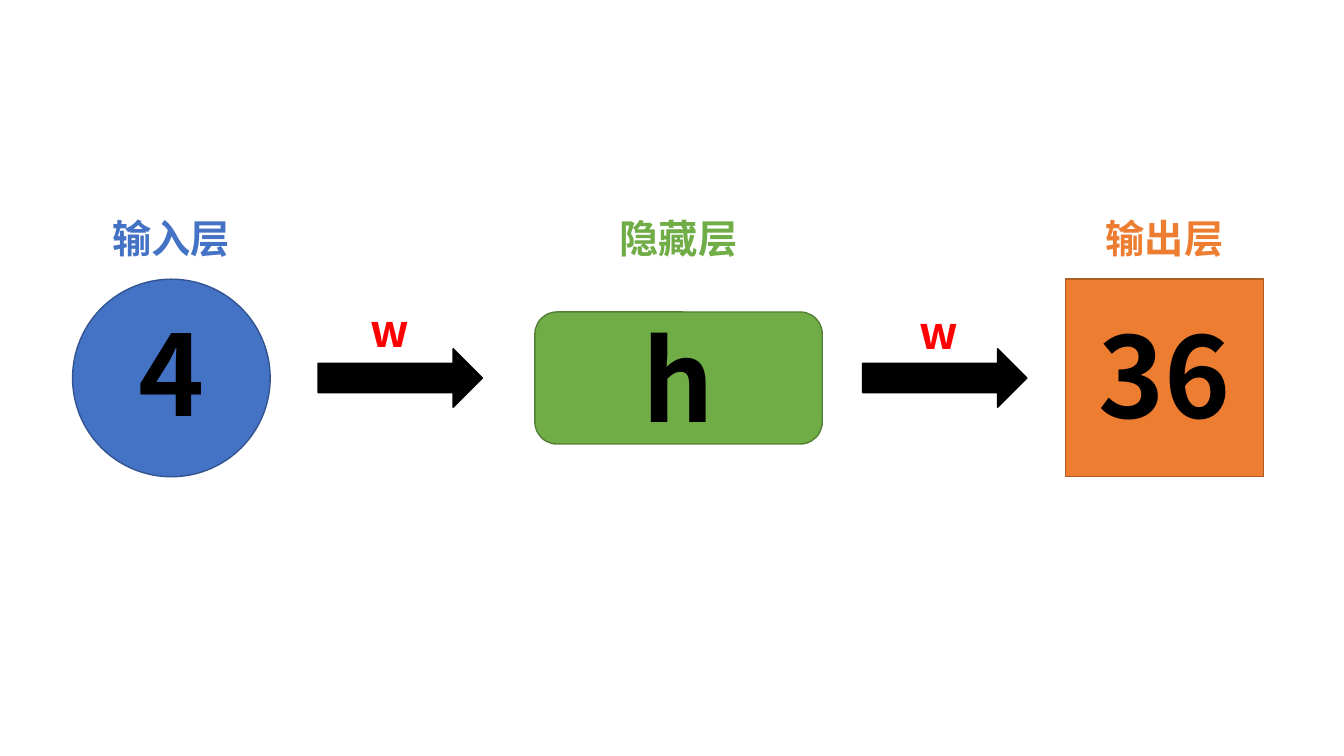
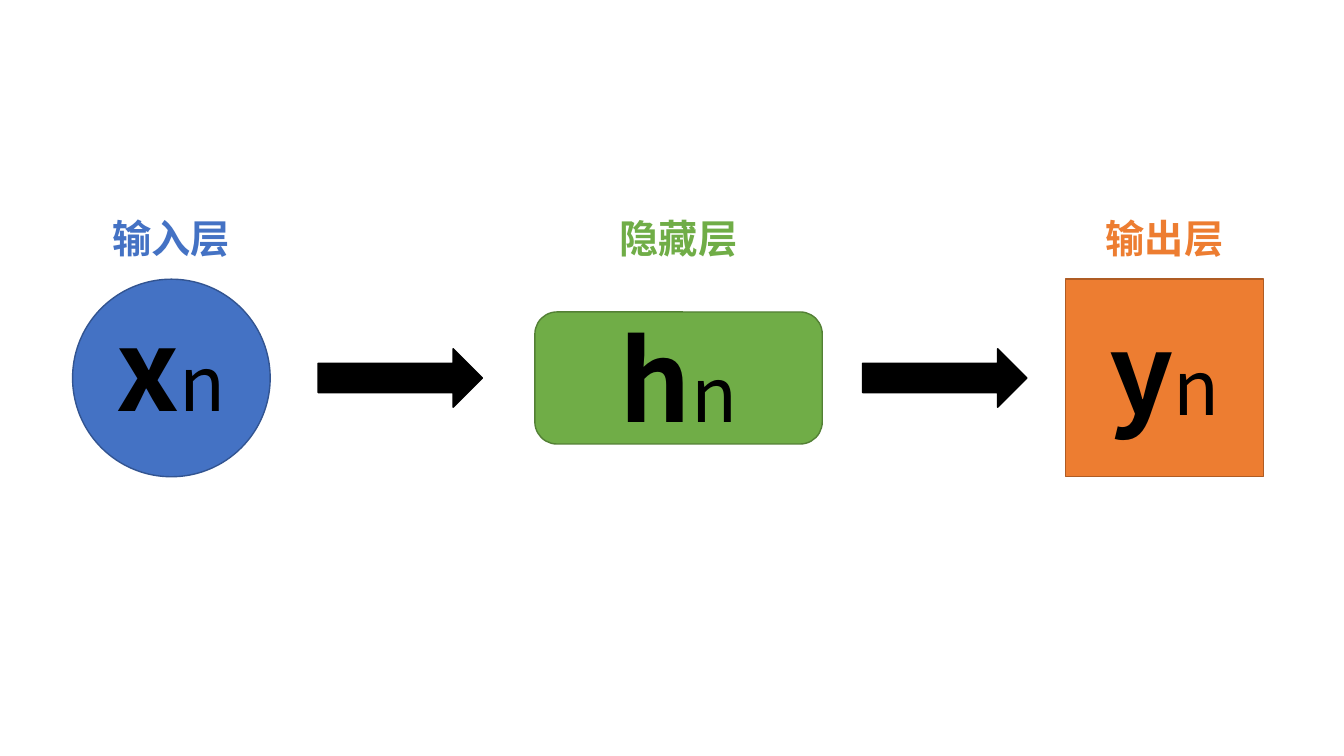
from collections import namedtuple

from lxml import etree
from pptx import Presentation
from pptx.dml.color import RGBColor
from pptx.enum.shapes import MSO_SHAPE
from pptx.enum.text import MSO_AUTO_SIZE, PP_ALIGN
from pptx.oxml.ns import qn
from pptx.util import Inches, Pt

OVAL = MSO_SHAPE.OVAL
SQUARE = MSO_SHAPE.RECTANGLE
ROUNDED = MSO_SHAPE.ROUNDED_RECTANGLE
ARROW = MSO_SHAPE.RIGHT_ARROW
CENTER = PP_ALIGN.CENTER
GROW = MSO_AUTO_SIZE.SHAPE_TO_FIT_TEXT

BLUE = RGBColor(0x44, 0x72, 0xC4)
BLUE_EDGE = RGBColor(0x32, 0x54, 0x91)
GREEN = RGBColor(0x70, 0xAD, 0x47)
GREEN_EDGE = RGBColor(0x53, 0x80, 0x35)
ORANGE = RGBColor(0xED, 0x7D, 0x31)
ORANGE_EDGE = RGBColor(0xAF, 0x5C, 0x24)
BLACK = RGBColor(0, 0, 0)
RED = RGBColor(0xFF, 0, 0)

FONT = "Noto Sans CJK SC"
SLIDE_WIDTH, SLIDE_HEIGHT = 13.33, 7.5
MIDDLE = SLIDE_HEIGHT / 2
LABEL_TOP, LABEL_WIDTH, LABEL_HEIGHT, LABEL_SIZE = 2.08, 2.12, 0.57, 28
SYMBOL_HEIGHT, SYMBOL_SIZE, INDEX_SIZE = 1.45, 80, 54
WEIGHT_WIDTH, WEIGHT_HEIGHT, WEIGHT_SIZE = 1.13, 0.64, 32
ARROW_WIDTH, ARROW_HEIGHT = 1.63, 0.58

Layer = namedtuple("Layer", "label preset center width height fill edge symbol_width")
LAYERS = [
    Layer("输入层", OVAL, 1.7, 1.96, 1.96, BLUE, BLUE_EDGE, 1.76),
    Layer("隐藏层", ROUNDED, 6.73, 2.85, 1.31, GREEN, GREEN_EDGE, 2.48),
    Layer("输出层", SQUARE, 11.55, 1.96, 1.96, ORANGE, ORANGE_EDGE, 2.94),
]
ARROW_CENTERS = [3.97, 9.37]

PAGES = [
    {
        "symbols": [("4", "", 2.97), ("h", "", 3.03), ("36", "", 2.99)],
        "weights": [("w", 3.87, 2.95), ("w", 9.31, 2.97)],
    },
    {
        "symbols": [("x", "n", 2.92), ("h", "n", 3.03), ("y", "n", 2.96)],
        "weights": [],
    },
]


def add_figure(page, preset, center, width, height, fill, edge):
    figure = page.shapes.add_shape(
        preset, Inches(center - width / 2), Inches(MIDDLE - height / 2),
        Inches(width), Inches(height))
    figure.shadow.inherit = False
    figure.fill.solid()
    figure.fill.fore_color.rgb = fill
    figure.line.color.rgb = edge
    figure.line.width = Pt(1)


def add_text(page, center, top, width, height, color, spans):
    box = page.shapes.add_textbox(
        Inches(center - width / 2), Inches(top), Inches(width), Inches(height))
    frame = box.text_frame
    frame.word_wrap = True
    frame.auto_size = GROW
    para = frame.paragraphs[0]
    para.alignment = CENTER
    for text, size, bold in spans:
        span = para.add_run()
        span.text = text
        span.font.size = Pt(size)
        span.font.bold = bold
        span.font.color.rgb = color
        span.font.name = FONT
        east_asian = etree.SubElement(span.font._element, qn("a:ea"))
        east_asian.set("typeface", FONT)


def add_network(page, symbols, weights):
    for layer, (symbol, index, top) in zip(LAYERS, symbols):
        add_figure(page, layer.preset, layer.center, layer.width, layer.height,
                   layer.fill, layer.edge)
        add_text(page, layer.center, LABEL_TOP, LABEL_WIDTH, LABEL_HEIGHT,
                 layer.fill, [(layer.label, LABEL_SIZE, True)])
        spans = [(symbol, SYMBOL_SIZE, True)]
        if index:
            spans.append((index, INDEX_SIZE, False))
        add_text(page, layer.center, top, layer.symbol_width, SYMBOL_HEIGHT,
                 BLACK, spans)
    for center in ARROW_CENTERS:
        add_figure(page, ARROW, center, ARROW_WIDTH, ARROW_HEIGHT, BLACK, BLACK)
    for weight, center, top in weights:
        add_text(page, center, top, WEIGHT_WIDTH, WEIGHT_HEIGHT, RED,
                 [(weight, WEIGHT_SIZE, True)])


def main():
    deck = Presentation()
    deck.slide_width = Inches(SLIDE_WIDTH)
    deck.slide_height = Inches(SLIDE_HEIGHT)
    blank = deck.slide_layouts[6]
    for content in PAGES:
        page = deck.slides.add_slide(blank)
        add_network(page, content["symbols"], content["weights"])
    deck.save("out.pptx")


if __name__ == "__main__":
    main()
